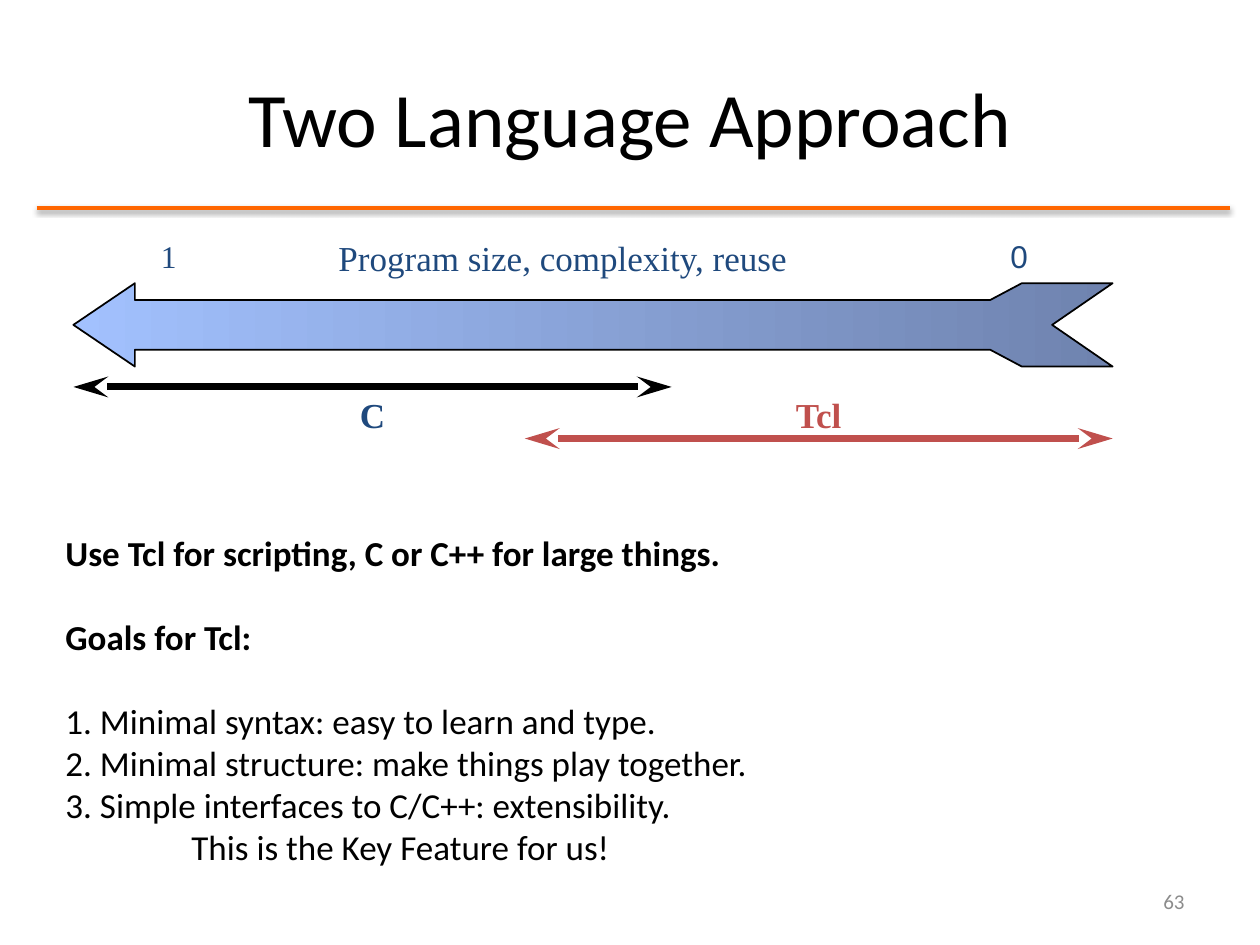
from dataclasses import dataclass

from lxml import etree
from pptx import Presentation
from pptx.dml.color import RGBColor
from pptx.enum.shapes import MSO_CONNECTOR
from pptx.enum.text import MSO_ANCHOR as Anchor, PP_ALIGN as Align
from pptx.oxml.ns import qn
from pptx.util import Cm, Pt

COLORS = {
    "black": "000000",
    "navy": "1F497D",
    "red": "C0504D",
    "orange": "FF6600",
    "gray": "8C8C8C",
    "scale_light": "A2C1FE",
    "scale_dark": "6F83AF",
}
SERIF = "Times New Roman"


@dataclass
class Label:
    text: str
    left: float
    top: float
    width: float
    height: float
    size: float
    color: str
    font: str = SERIF
    align: Align = Align.CENTER
    anchor: Anchor = Anchor.TOP
    bold: bool = False


@dataclass
class Span:
    left: float
    right: float
    y: float
    color: str


@dataclass
class Line:
    text: str
    bold: bool = False
    space_before: float = 0
    indent: float = 0


LABELS = [
    Label("Two Language Approach", 1.27, 0.76, 22.86, 3.18, 44, "black", "Calibri",
          anchor=Anchor.MIDDLE),
    Label("Program size, complexity, reuse", 6.05, 4.65, 10.59, 1.12, 20, "navy"),
    Label("1", 1.27, 4.65, 2.54, 1.02, 18, "navy", align=Align.RIGHT),
    Label("0", 20.12, 4.65, 2.54, 1.02, 18, "navy", "Arial", Align.LEFT),
    Label("C", 1.48, 7.8, 12.06, 1.12, 20, "navy", bold=True),
    Label("Tcl", 10.58, 7.8, 11.85, 1.12, 20, "red", bold=True),
    Label("63", 18.2, 17.65, 5.93, 1.02, 12, "gray", "Calibri", Align.RIGHT, Anchor.MIDDLE),
]
SPANS = [Span(1.48, 13.54, 7.8, "black"), Span(10.58, 22.43, 8.84, "red")]
GOALS = [
    Line("Use Tcl for scripting, C or C++ for large things.", bold=True),
    Line("Goals for Tcl:", bold=True, space_before=24),
    Line("1. Minimal syntax: easy to learn and type.", space_before=24),
    Line("2. Minimal structure: make things play together."),
    Line("3. Simple interfaces to C/C++: extensibility."),
    Line("This is the Key Feature for us!", indent=2.54),
]


def rgb(name: str) -> RGBColor:
    return RGBColor.from_string(COLORS[name])


def style_font(font, name: str, size: float, color: str, bold: bool) -> None:
    font.name, font.size, font.bold = name, Pt(size), bold
    font.color.rgb = rgb(color)


def add_label(slide, label: Label) -> None:
    box = slide.shapes.add_textbox(Cm(label.left), Cm(label.top), Cm(label.width), Cm(label.height))
    frame = box.text_frame
    frame.word_wrap = True
    frame.vertical_anchor = label.anchor
    paragraph = frame.paragraphs[0]
    paragraph.text = label.text
    paragraph.alignment = label.align
    style_font(paragraph.font, label.font, label.size, label.color, label.bold)


def add_rule(slide, span: Span, weight: float):
    """Draw a horizontal line; return it with its empty effect list."""
    rule = slide.shapes.add_connector(
        MSO_CONNECTOR.STRAIGHT, Cm(span.left), Cm(span.y), Cm(span.right), Cm(span.y))
    rule.line.color.rgb = rgb(span.color)
    rule.line.width = Pt(weight)
    effects = etree.SubElement(rule._element.spPr, qn("a:effectLst"))
    return rule, effects


def add_title_rule(slide) -> None:
    _, effects = add_rule(slide, Span(0.74, 24.79, 4.19, "orange"), 2)
    shadow = etree.SubElement(effects, qn("a:outerShdw"), blurRad=str(Pt(3.1)),
                              dist=str(Pt(1.6)), dir="5400000", rotWithShape="0")
    tint = etree.SubElement(shadow, qn("a:srgbClr"), val=COLORS["black"])
    etree.SubElement(tint, qn("a:alpha"), val="38000")


def add_range_arrow(slide, span: Span) -> None:
    arrow, _ = add_rule(slide, span, 4)
    outline = arrow.line._get_or_add_ln()
    for end in ("a:headEnd", "a:tailEnd"):
        etree.SubElement(outline, qn(end), type="stealth", w="med", len="lg")


def add_scale_arrow(slide) -> None:
    middle, wing, shaft = 6.55, 0.84, 0.5
    # Upper edge from the tip to the tail; the lower edge mirrors it
    upper = [(2.72, wing), (2.72, shaft), (19.96, shaft), (20.6, wing), (22.43, wing)]
    points = [(x, middle - dy) for x, dy in upper]
    points.append((21.21, middle))
    points += [(x, middle + dy) for x, dy in reversed(upper)]

    builder = slide.shapes.build_freeform(Cm(1.48), Cm(middle))
    builder.add_line_segments([(Cm(x), Cm(y)) for x, y in points], close=True)
    arrow = builder.convert_to_shape()
    arrow.shadow.inherit = False
    arrow.fill.gradient()
    arrow.fill.gradient_angle = 0
    for stop, color in zip(arrow.fill.gradient_stops, ("scale_light", "scale_dark")):
        stop.color.rgb = rgb(color)
    arrow.line.color.rgb = rgb("black")
    arrow.line.width = Pt(1)


def add_goals(slide) -> None:
    frame = slide.shapes.add_textbox(Cm(1.07), Cm(10.59), Cm(14.4), Cm(7.09)).text_frame
    frame.word_wrap = False
    for index, line in enumerate(GOALS):
        paragraph = frame.add_paragraph() if index else frame.paragraphs[0]
        paragraph.text = line.text
        paragraph.alignment = Align.LEFT
        if line.space_before:
            paragraph.space_before = Pt(line.space_before)
        if line.indent:
            paragraph._p.get_or_add_pPr().set("marL", str(Cm(line.indent)))
        style_font(paragraph.font, "Calibri", 20, "black", line.bold)


def main() -> None:
    deck = Presentation()
    deck.slide_width, deck.slide_height = Cm(25.4), Cm(19.05)
    slide = deck.slides.add_slide(deck.slide_layouts[6])

    # Rule under the title
    add_title_rule(slide)
    # Scale from large to small programs, with each language's range
    add_scale_arrow(slide)
    for span in SPANS:
        add_range_arrow(slide, span)
    # Title, scale labels and page number
    for label in LABELS:
        add_label(slide, label)
    # Advice and goals
    add_goals(slide)

    deck.save("out.pptx")


if __name__ == "__main__":
    main()
